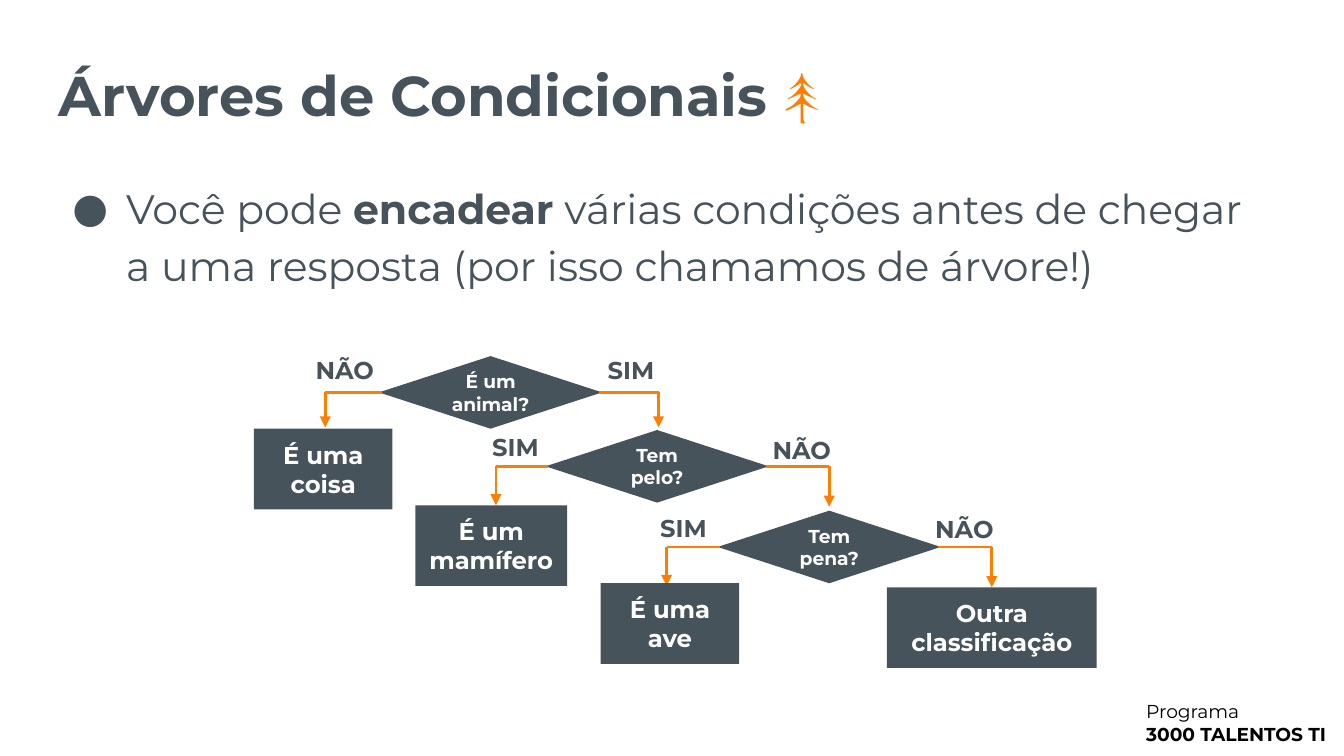
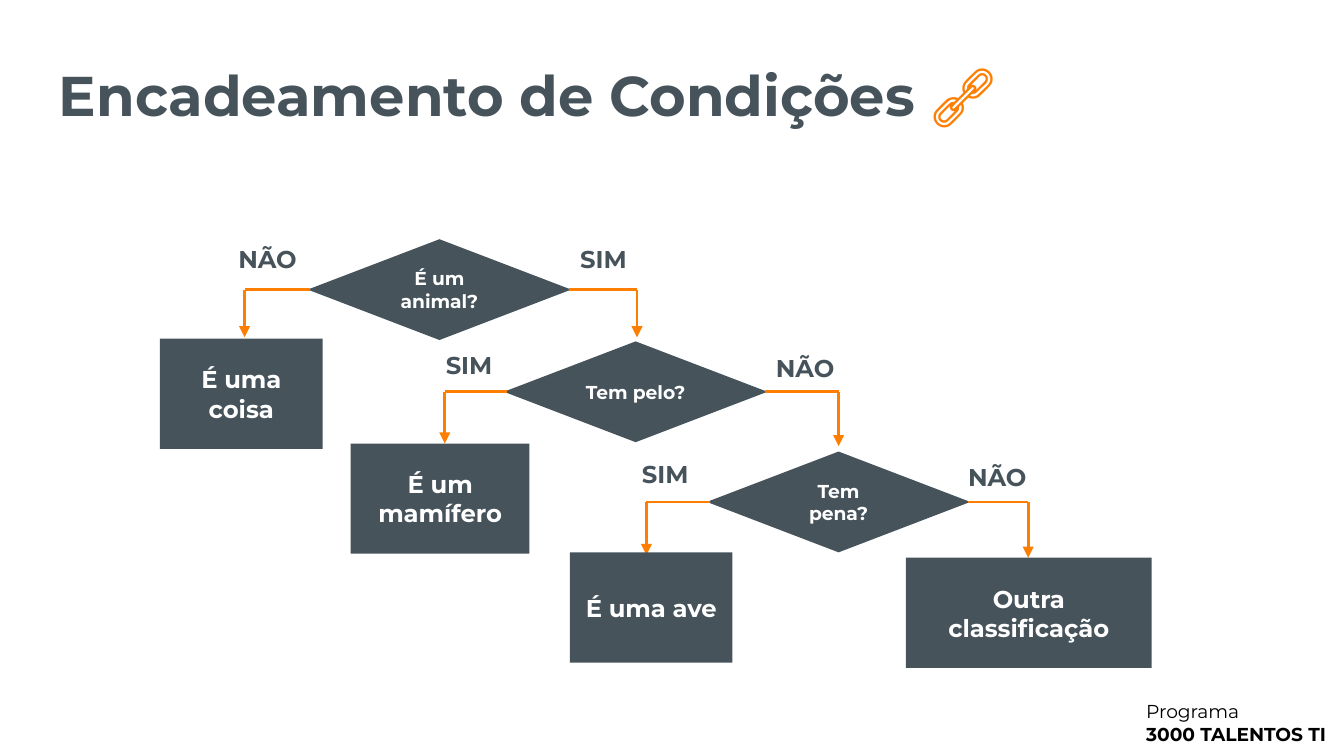
from lxml import etree
from pptx import Presentation
from pptx.dml.color import RGBColor
from pptx.enum import shapes, text
from pptx.oxml import ns
from pptx.util import Inches, Pt

COLORS = {"slate": "46535B", "orange": "FE7E02", "white": "FFFFFF", "black": "000000"}
FONT = "Montserrat"
MIDDLE = text.MSO_ANCHOR.MIDDLE
CENTER = text.PP_ALIGN.CENTER
OVERLAP = 0.02  # how far a branch reaches into its decision

# Decision: question, left, top, then its left and right branches.
# Branch: word, label left, label top, elbow x, arrow tip y.
# Answer: wording, left, top, width.
SMALL_TREE = {
    "decision_size": (1.66, 0.54),
    "label_size": (0.77, 0.33),
    "answer_height": 0.6,
    "decisions": [
        ("É um animal?", 2.82, 2.65,
         ("NÃO", 2.18, 2.59, 2.42, 3.18), ("SIM", 4.31, 2.59, 4.9, 3.18)),
        ("Tem pelo?", 4.06, 3.2,
         ("SIM", 3.45, 3.16, 3.69, 3.76), ("NÃO", 5.58, 3.18, 6.17, 3.77)),
        ("Tem pena?", 5.34, 3.8,
         ("SIM", 4.7, 3.76, 4.96, 4.36), ("NÃO", 6.79, 3.77, 7.38, 4.37)),
    ],
    "answers": [
        ("É uma coisa", 1.89, 3.19, 1.03),
        ("É um mamífero", 3.09, 3.76, 1.13),
        ("É uma ave", 4.47, 4.34, 1.03),
        ("Outra classificação", 6.6, 4.37, 1.56),
    ],
}
LARGE_TREE = {
    "decision_size": (1.96, 0.75),
    "label_size": (0.9, 0.45),
    "answer_height": 0.82,
    "decisions": [
        ("É um animal?", 2.29, 1.78,
         ("NÃO", 1.54, 1.7, 1.82, 2.51), ("SIM", 4.04, 1.7, 4.74, 2.51)),
        ("Tem pelo?", 3.75, 2.54,
         ("SIM", 3.04, 2.49, 3.31, 3.3), ("NÃO", 5.54, 2.51, 6.24, 3.32)),
        ("Tem pena?", 5.26, 3.36,
         ("SIM", 4.5, 3.3, 4.81, 4.13), ("NÃO", 6.97, 3.32, 7.65, 4.15)),
    ],
    "answers": [
        ("É uma coisa", 1.19, 2.52, 1.21),
        ("É um mamífero", 2.61, 3.3, 1.33),
        ("É uma ave", 4.24, 4.11, 1.21),
        ("Outra classificação", 6.74, 4.15, 1.83),
    ],
}


def rgb(name):
    return RGBColor.from_string(COLORS[name])


def write(shape, *paragraphs, size=13, color="slate", bold=False, align=None,
          anchor=text.MSO_ANCHOR.TOP, spacing=None, bullet=None):
    """Fill a shape; each paragraph is a list of (words, format overrides)."""
    frame = shape.text_frame
    frame.word_wrap = True
    frame.vertical_anchor = anchor
    frame.margin_left = frame.margin_right = Inches(0.1)
    frame.margin_top = frame.margin_bottom = Inches(0.1)
    for index, spans in enumerate(paragraphs):
        para = frame.paragraphs[0] if index == 0 else frame.add_paragraph()
        if align is not None:
            para.alignment = align
        if spacing:
            para.line_spacing = spacing
        if bullet:
            add_bullet(para, bullet, color)
        for words, changes in spans:
            style = {"size": size, "color": color, "bold": bold, **changes}
            span = para.add_run()
            span.text = words
            span.font.name = FONT
            span.font.size = Pt(style["size"])
            span.font.bold = style["bold"]
            span.font.color.rgb = rgb(style["color"])


def add_bullet(para, character, color):
    properties = para._p.get_or_add_pPr()
    properties.set("marL", str(Inches(0.5)))
    properties.set("indent", str(Inches(-0.4)))
    bullet_color = etree.SubElement(properties, ns.qn("a:buClr"))
    etree.SubElement(bullet_color, ns.qn("a:srgbClr"), val=COLORS[color])
    etree.SubElement(properties, ns.qn("a:buFont"), typeface=FONT)
    etree.SubElement(properties, ns.qn("a:buChar"), char=character)


def add_text(page, at, *paragraphs, **style):
    box = page.shapes.add_textbox(*map(Inches, at))
    write(box, *paragraphs, **style)
    return box


def add_node(page, kind, at, words, size):
    node = page.shapes.add_shape(kind, *map(Inches, at))
    node.shadow.inherit = False
    node.fill.solid()
    node.fill.fore_color.rgb = rgb("slate")
    node.line.fill.background()
    write(node, [(words, {})], size=size, color="white", bold=True,
          align=CENTER, anchor=MIDDLE)


def add_line(page, start, end, arrow=False):
    line = page.shapes.add_connector(
        shapes.MSO_CONNECTOR.STRAIGHT, *map(Inches, (*start, *end)))
    line.line.color.rgb = rgb("orange")
    line.line.width = Pt(1.5)
    if arrow:
        etree.SubElement(line.line._get_or_add_ln(), ns.qn("a:tailEnd"), type="triangle")
    etree.SubElement(line._element.spPr, ns.qn("a:effectLst"))


def add_branch(page, start, branch, label_size):
    """Draw an elbow from a decision's side, with its label above."""
    word, label_left, label_top, elbow, arrow_end = branch
    corner = (elbow, start[1])
    add_line(page, start, corner)
    add_line(page, corner, (elbow, arrow_end), arrow=True)
    add_text(page, (label_left, label_top, *label_size), [(word, {})],
             bold=True, align=CENTER, anchor=MIDDLE)


def add_tree(page, tree):
    width, height = tree["decision_size"]
    for question, left, top, left_branch, right_branch in tree["decisions"]:
        add_node(page, shapes.MSO_SHAPE.FLOWCHART_DECISION,
                 (left, top, width, height), question, 10)
        middle = top + height / 2
        add_branch(page, (left + OVERLAP, middle), left_branch, tree["label_size"])
        add_branch(page, (left + width - OVERLAP, middle), right_branch, tree["label_size"])
    for words, left, top, answer_width in tree["answers"]:
        add_node(page, shapes.MSO_SHAPE.RECTANGLE,
                 (left, top, answer_width, tree["answer_height"]), words, 13)


def add_page(deck, title, symbol):
    page = deck.slides.add_slide(deck.slide_layouts[6])
    page.background.fill.solid()
    page.background.fill.fore_color.rgb = rgb("white")
    footer = add_text(page, (8.43, 5.11, 1.74, 0.54), [("Programa", {})],
                      [("3000 TALENTOS TI", {"bold": True})], size=10, color="black")
    footer.text_frame.auto_size = text.MSO_AUTO_SIZE.SHAPE_TO_FIT_TEXT
    add_text(page, (0.34, 0.14, 8.57, 1.07),
             [(title + " ", {}), (symbol, {"size": 34, "color": "orange"})],
             size=30, bold=True, anchor=MIDDLE)
    return page


def main():
    deck = Presentation()
    deck.slide_width = Inches(10)
    deck.slide_height = deck.slide_width * 9 // 16

    page = add_page(deck, "Árvores de Condicionais", "🌲")
    add_text(page, (0.34, 1.21, 9.07, 0.91),
             [("Você pode ", {}), ("encadear", {"bold": True}),
              (" várias condições antes de chegar a uma resposta "
               "(por isso chamamos de árvore!)", {})],
             size=22, spacing=1.15, bullet="●")
    add_tree(page, SMALL_TREE)

    page = add_page(deck, "Encadeamento de Condições", "🔗")
    add_tree(page, LARGE_TREE)

    deck.save("out.pptx")


if __name__ == "__main__":
    main()
